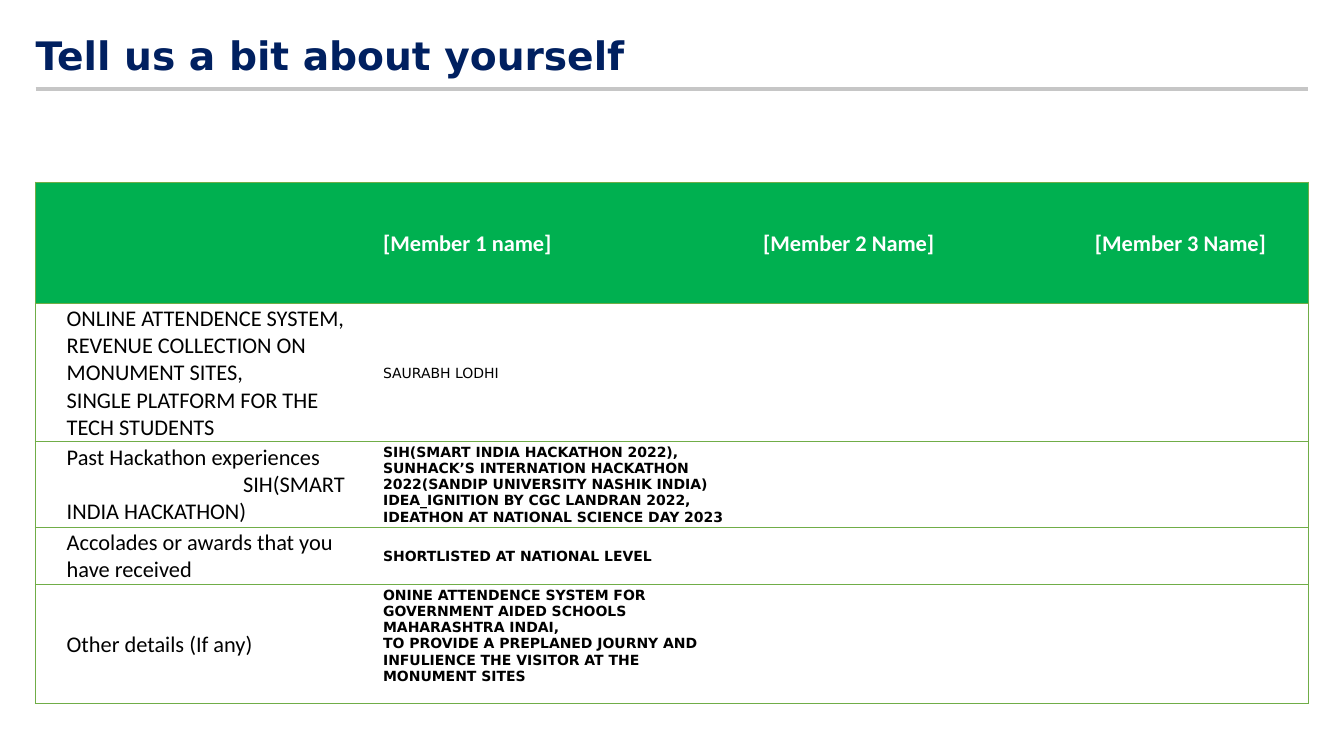
from dataclasses import dataclass

from lxml import etree
from pptx import Presentation
from pptx.dml.color import RGBColor
from pptx.enum import shapes, text
from pptx.oxml import ns
from pptx.util import Pt


@dataclass(frozen=True)
class Theme:
    navy: str = "002060"
    grey: str = "C6C6C6"
    green: str = "00B050"
    border: str = "70AD47"
    white: str = "FFFFFF"
    black: str = "000000"
    label_font: str = "Calibri"
    answer_font: str = "DejaVu Sans"
    title_size: int = 28
    label_size: int = 16
    answer_size: int = 10


THEME = Theme()
HEADER = dict(name=THEME.label_font, size=Pt(THEME.label_size), bold=True, color=THEME.white)
LABEL = dict(HEADER, bold=False, color=THEME.black)
ANSWER = dict(name=THEME.answer_font, size=Pt(THEME.answer_size), bold=True, color=THEME.black)
NAME = dict(ANSWER, bold=False)
TITLE = dict(ANSWER, size=Pt(THEME.title_size), color=THEME.navy)

COLUMN_WIDTHS = (226, 271.5, 237, 175)
ROW_HEIGHTS = (87, 96, 61, 41, 85)
HEADINGS = ("", "[Member 1 name]", "[Member 2 Name]", "[Member 3 Name]")
ROWS = (
    ("ONLINE ATTENDENCE SYSTEM,\nREVENUE COLLECTION ON MONUMENT SITES,\n"
     "SINGLE PLATFORM FOR THE TECH STUDENTS",
     "SAURABH LODHI", NAME),
    ("Past Hackathon experiences\n\tSIH(SMART INDIA HACKATHON)",
     "SIH(SMART INDIA HACKATHON 2022),\n"
     "SUNHACK’S INTERNATION HACKATHON 2022(SANDIP UNIVERSITY NASHIK INDIA)\n"
     "IDEA_IGNITION BY CGC LANDRAN 2022,\nIDEATHON AT NATIONAL SCIENCE DAY 2023", ANSWER),
    ("Accolades or awards that you have received", "SHORTLISTED AT NATIONAL LEVEL", ANSWER),
    ("Other details (If any)",
     "ONINE ATTENDENCE SYSTEM FOR GOVERNMENT AIDED SCHOOLS MAHARASHTRA INDAI,\n"
     "TO PROVIDE A PREPLANED JOURNY AND INFULIENCE THE VISITOR AT THE MONUMENT SITES", ANSWER),
)


def set_all(target, **values):
    for name, value in values.items():
        setattr(target, name, value)


def write(frame, content, style):
    frame.text = content
    font_values = {key: value for key, value in style.items() if key != "color"}
    for paragraph in frame.paragraphs:
        paragraph.alignment = text.PP_ALIGN.LEFT
        if paragraph.text.startswith("\t"):
            add_tab_stop(paragraph, Pt(126))
        for run in paragraph.runs:
            set_all(run.font, **font_values)
            run.font.color.rgb = RGBColor.from_string(style["color"])


def add_tab_stop(paragraph, position):
    properties = paragraph._p.get_or_add_pPr()
    stops = etree.SubElement(properties, ns.qn("a:tabLst"))
    etree.SubElement(stops, ns.qn("a:tab"), pos=str(position), algn="l")


def set_borders(cell, visible_sides):
    properties = cell._tc.get_or_add_tcPr()
    for side in "LRTB":
        line = etree.SubElement(properties, ns.qn(f"a:ln{side}"), w=str(Pt(0.5)))
        if side in visible_sides:
            fill = etree.SubElement(line, ns.qn("a:solidFill"))
            etree.SubElement(fill, ns.qn("a:srgbClr"), val=THEME.border)
        else:
            etree.SubElement(line, ns.qn("a:noFill"))


def add_title(slide, content):
    title = slide.shapes.title
    set_all(title, left=Pt(25.5), top=Pt(21.5), width=Pt(680), height=Pt(34.5))
    frame = title.text_frame
    set_all(frame, margin_left=0, margin_top=Pt(1), margin_right=0, margin_bottom=0,
            vertical_anchor=text.MSO_ANCHOR.TOP, auto_size=text.MSO_AUTO_SIZE.NONE,
            word_wrap=True)
    write(frame, content, TITLE)
    frame.paragraphs[0].line_spacing = 1.0


def add_rule(slide):
    rule = slide.shapes.add_connector(
        shapes.MSO_CONNECTOR.STRAIGHT, Pt(25.5), Pt(63.5), Pt(934), Pt(63.5))
    rule.line.color.rgb = RGBColor.from_string(THEME.grey)
    rule.line.width = Pt(3)
    etree.SubElement(rule._element.spPr, ns.qn("a:effectLst"))


def add_member_table(slide):
    table = slide.shapes.add_table(
        len(ROW_HEIGHTS), len(COLUMN_WIDTHS), Pt(25.2), Pt(130),
        Pt(sum(COLUMN_WIDTHS)), Pt(sum(ROW_HEIGHTS))).table
    table.horz_banding = False
    for column, width in zip(table.columns, COLUMN_WIDTHS):
        column.width = Pt(width)
    for row, height in zip(table.rows, ROW_HEIGHTS):
        row.height = Pt(height)

    last_column = len(COLUMN_WIDTHS) - 1
    for row_index, row in enumerate(table.rows):
        for column_index, cell in enumerate(row.cells):
            sides = "TB" + "L" * (column_index == 0) + "R" * (column_index == last_column)
            set_borders(cell, sides)
            cell.fill.solid()
            cell.fill.fore_color.rgb = RGBColor.from_string(
                THEME.white if row_index else THEME.green)
            set_all(cell, margin_left=Pt(22.5), margin_top=Pt(0.7), margin_right=Pt(0.7),
                    margin_bottom=0, vertical_anchor=text.MSO_ANCHOR.MIDDLE)

    for column_index, heading in enumerate(HEADINGS):
        write(table.cell(0, column_index).text_frame, heading, HEADER)
    for row_index, (label, answer, style) in enumerate(ROWS, start=1):
        write(table.cell(row_index, 0).text_frame, label, LABEL)
        write(table.cell(row_index, 1).text_frame, answer, style)
    table.cell(len(ROWS), 1).margin_bottom = Pt(12)


def main():
    presentation = Presentation()
    set_all(presentation, slide_width=Pt(960), slide_height=Pt(540))
    slide = presentation.slides.add_slide(presentation.slide_layouts[5])
    add_rule(slide)
    add_member_table(slide)
    add_title(slide, "Tell us a bit about yourself")
    presentation.save("out.pptx")


if __name__ == "__main__":
    main()
